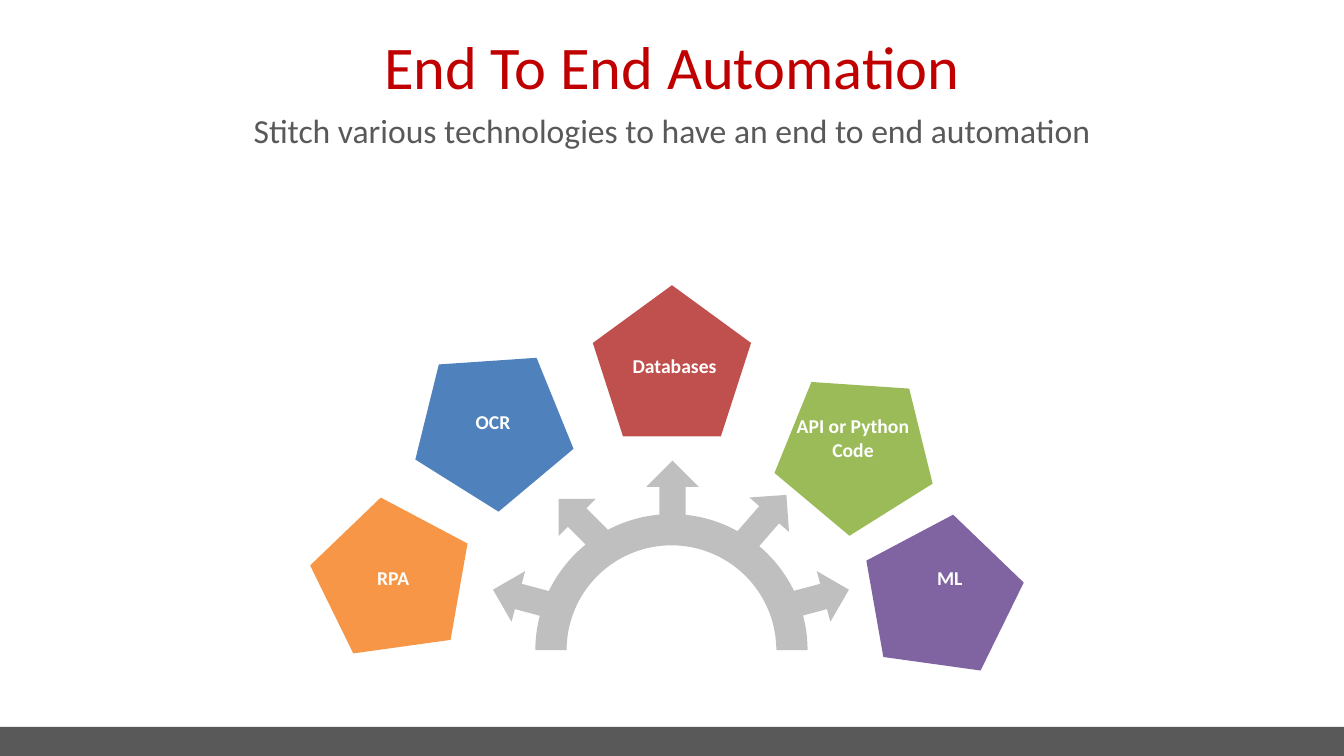
import math
import lxml.etree
import pptx
import pptx.util
import pptx.dml.color
import pptx.enum.shapes
import pptx.enum.text
import pptx.oxml.ns

Inches = pptx.util.Inches
Pt = pptx.util.Pt
RGB = pptx.dml.color.RGBColor
SHAPE = pptx.enum.shapes.MSO_SHAPE
MID = pptx.enum.text.MSO_ANCHOR.MIDDLE
qn = pptx.oxml.ns.qn

RED = RGB(0xC0, 0x00, 0x00)
GRAY = RGB(0x59, 0x59, 0x59)
SILVER = RGB(0xBF, 0xBF, 0xBF)
WHITE = RGB(0xFF, 0xFF, 0xFF)
BRICK = RGB(0xC0, 0x50, 0x4D)
GREEN = RGB(0x9B, 0xBB, 0x59)
PURPLE = RGB(0x80, 0x64, 0xA2)
BLUE = RGB(0x4F, 0x81, 0xBD)
ORANGE = RGB(0xF7, 0x96, 0x46)

WIDE, HIGH = 13.33, 7.5

# Pentagon left and top, turn, colour, label, label left, top and height;
# places are measured from the corner of the wheel's box
STEPS = [
    (2.85, 0, 0, BRICK, "Databases", 3, 0.63, 0.34),
    (4.72, 0.85, 40, GREEN, "API or Python Code", 4.77, 1.23, 0.57),
    (5.6, 2.33, 80, PURPLE, "ML", 5.73, 2.74, 0.34),
    (1.02, 0.61, 320, BLUE, "OCR", 1.2, 1.19, 0.34),
    (0, 2.16, 280, ORANGE, "RPA", 0.21, 2.74, 0.34),
]

# Arrow tip from the wheel's corner, and its angle clockwise from up
ARROWS = [
    (1.86, 3.02, -75),
    (2.51, 2.12, -45),
    (3.64, 1.74, 0),
    (4.77, 2.08, 41),
    (5.39, 3.02, 75),
]
HUB = (3.63, 3.62)
OUTER, INNER = 1.35, 1.04
HEAD, BARB, SHAFT = 0.26, 0.26, 0.13


def paint(shape, color):
    shape.fill.solid()
    shape.fill.fore_color.rgb = color
    shape.line.fill.background()
    shape.shadow.inherit = False


def write(frame, text, size, color, bold=False):
    frame.word_wrap = True
    para = frame.paragraphs[0]
    para.alignment = pptx.enum.text.PP_ALIGN.CENTER
    run = para.add_run()
    run.text = text
    font = run.font
    font.name = "Calibri"
    font.size = Pt(size)
    font.bold = bold
    font.color.rgb = color
    return para


def head(slide, left, top, width):
    # Title
    title = slide.shapes.title
    title.left, title.top = Inches(left), Inches(top)
    title.width, title.height = Inches(width), Inches(0.85)
    title.text_frame.auto_size = pptx.enum.text.MSO_AUTO_SIZE.NONE
    title.text_frame.vertical_anchor = MID
    write(title.text_frame, "End To End Automation", 43.2, RED)

    # Subtitle
    sub = slide.shapes.add_textbox(Inches(left), Inches(top + 0.88),
                                   Inches(width), Inches(0.46))
    sub.text_frame.vertical_anchor = MID
    para = write(sub.text_frame,
                 "Stitch various technologies to have an end to end automation",
                 24, GRAY)
    para.line_spacing = 0.8


def arc(radius, start, end):
    """Curve round the hub: two handles and an end; clockwise from up."""
    pull = 4 / 3 * math.tan((end - start) / 4)

    def spot(turn, slide):
        return (HUB[0] + radius * (math.sin(turn) + slide * math.cos(turn)),
                HUB[1] - radius * (math.cos(turn) - slide * math.sin(turn)))

    return [spot(start, pull), spot(end, -pull), spot(end, 0)]


def arrow(x, y, angle):
    """Outline of one arrow from ring to tip and back to the ring."""
    turn = math.radians(angle)
    dx, dy = math.sin(turn), -math.cos(turn)

    def spot(back, side):
        return x - back * dx - side * dy, y - back * dy + side * dx

    def root(side):
        px, py = spot(0, side)
        qx, qy = px - HUB[0], py - HUB[1]
        along = qx * dx + qy * dy
        reach = math.sqrt(along ** 2 - qx ** 2 - qy ** 2 + OUTER ** 2)
        return spot(along - reach, side)

    return [root(-SHAFT), spot(HEAD, -SHAFT), spot(HEAD, -BARB), (x, y),
            spot(HEAD, BARB), spot(HEAD, SHAFT), root(SHAFT)]


def bearing(point):
    return math.atan2(point[0] - HUB[0], HUB[1] - point[1])


def trace(slide, left, top, start, steps):
    """Draw a closed outline; a step has one point, or three for a curve."""
    def place(point):
        return Inches(left + point[0]), Inches(top + point[1])

    form = slide.shapes.build_freeform(*place(start))
    form.add_line_segments([place(step[-1]) for step in steps], close=True)
    shape = form.convert_to_shape()
    lines = list(shape._element.iter(qn("a:lnTo")))
    for line, step in zip(lines, steps):
        if len(step) == 3:
            curve = lxml.etree.Element(qn("a:cubicBezTo"))
            for x, y in map(place, step):
                lxml.etree.SubElement(curve, qn("a:pt"),
                                      x=str(x - shape.left),
                                      y=str(y - shape.top))
            line.getparent().replace(line, curve)
    return shape


def ring(slide, left, top):
    # Half ring with five arrows, as one outline
    half = math.pi / 2
    last = -half
    steps = []
    for item in ARROWS:
        edge = arrow(*item)
        steps.append(arc(OUTER, last, bearing(edge[0])))
        steps += [[point] for point in edge[1:]]
        last = bearing(edge[-1])
    steps.append(arc(OUTER, last, half))
    steps.append([(HUB[0] + INNER, HUB[1])])
    third = math.pi / 3
    for i in range(3):
        steps.append(arc(INNER, half - i * third, half - (i + 1) * third))
    paint(trace(slide, left, top, (HUB[0] - OUTER, HUB[1]), steps), SILVER)


def wheel(slide, left, top):
    ring(slide, left, top)

    # Pentagons
    for x, y, turn, color, *_ in STEPS:
        shape = slide.shapes.add_shape(
            SHAPE.REGULAR_PENTAGON, Inches(left + x), Inches(top + y),
            Inches(1.57), Inches(1.5))
        shape.rotation = turn
        paint(shape, color)

    # Upright labels
    for *_, text, x, y, height in STEPS:
        label = slide.shapes.add_textbox(
            Inches(left + x), Inches(top + y), Inches(1.32), Inches(height))
        label.text_frame.auto_size = (
            pptx.enum.text.MSO_AUTO_SIZE.SHAPE_TO_FIT_TEXT)
        write(label.text_frame, text, 14, WHITE, True)


def foot(slide, left, top, width, height):
    # Bottom band
    band = slide.shapes.add_shape(SHAPE.RECTANGLE, Inches(left), Inches(top),
                                  Inches(width), Inches(height))
    paint(band, GRAY)


def main():
    deck = pptx.Presentation()
    deck.slide_width, deck.slide_height = Inches(WIDE), Inches(HIGH)
    slide = deck.slides.add_slide(deck.slide_layouts[5])
    foot(slide, 0, HIGH - 0.29, WIDE, 0.29)
    head(slide, 0, 0.22, WIDE)
    wheel(slide, 3.03, 2.83)
    deck.save("out.pptx")


if __name__ == "__main__":
    main()
